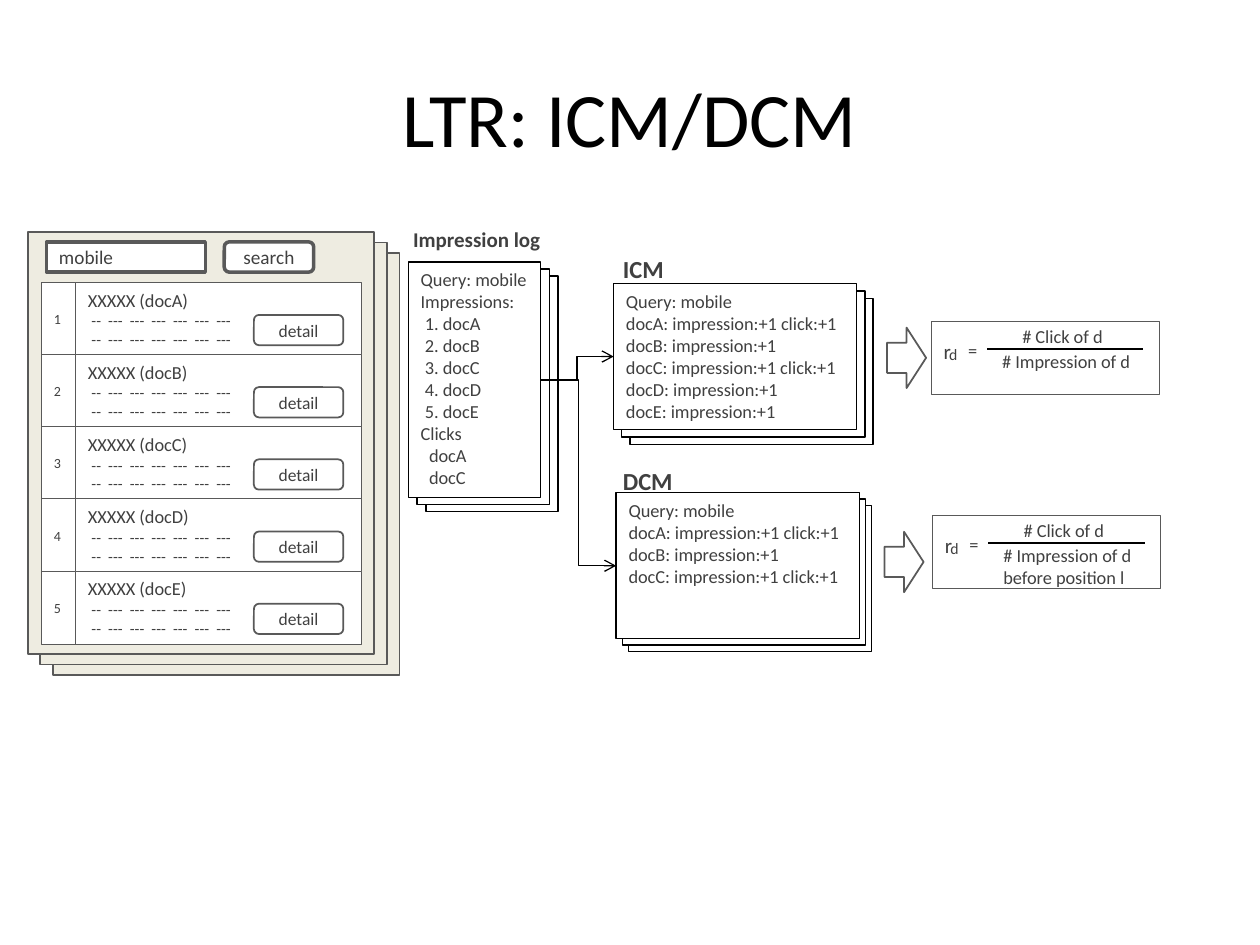
from lxml.etree import SubElement
from pptx import Presentation
from pptx.dml.color import RGBColor
from pptx.enum.shapes import MSO_CONNECTOR, MSO_SHAPE
from pptx.enum.text import MSO_ANCHOR, PP_ALIGN
from pptx.oxml.ns import qn
from pptx.util import Inches, Pt

SLIDE_WIDTH, SLIDE_HEIGHT = Inches(10), Inches(7.5)
COLUMN, ROW = SLIDE_WIDTH / 100, SLIDE_HEIGHT / 75
FONT = "Calibri"
BLACK, GRAY, TEXT, WHITE, BEIGE = "000000", "595959", "404040", "FFFFFF", "EEECE1"
LEFT_SITE, RIGHT_SITE = 1, 3

QUERY = "mobile"
DASHES = "--  ---  ---  ---  ---  ---  ---"
DOCUMENTS = ["docA", "docB", "docC", "docD", "docE"]
CLICKED = ["docA", "docC"]
RESULT_PITCH = 5.73


def color(value):
    """Turn a hex string into a colour."""
    return RGBColor.from_string(value)


def place(left, top, width, height):
    """Convert grid columns and rows to slide lengths."""
    return [round(length) for length in (left * COLUMN, top * ROW, width * COLUMN, height * ROW)]


def write(shape, lines, size, align=PP_ALIGN.LEFT, anchor=MSO_ANCHOR.TOP, bold=False, ink=TEXT):
    """Write lines of text into a shape and format them."""
    frame = shape.text_frame
    frame.word_wrap = True
    frame.vertical_anchor = anchor
    frame.text = "\n".join(lines)
    for paragraph in frame.paragraphs:
        paragraph.alignment = align
        for run in paragraph.runs:
            run.font.name = FONT
            run.font.size = Pt(size)
            run.font.bold = bold
            run.font.color.rgb = color(ink)


def indent(paragraphs, distance):
    """Indent paragraphs by a distance in points."""
    for paragraph in paragraphs:
        paragraph._p.get_or_add_pPr().set("marL", str(Pt(distance)))


def add_box(slide, box, line=GRAY, weight=0.5, fill=WHITE, kind=MSO_SHAPE.RECTANGLE):
    """Add an outlined shape, without fill when fill is None."""
    shape = slide.shapes.add_shape(kind, *place(*box))
    shape.shadow.inherit = False
    if fill:
        shape.fill.solid()
        shape.fill.fore_color.rgb = color(fill)
    else:
        shape.fill.background()
    shape.line.color.rgb = color(line)
    shape.line.width = Pt(weight)
    return shape


def add_label(slide, text, box, size, **style):
    """Add a text box with one line of text."""
    write(slide.shapes.add_textbox(*place(*box)), [text], size, **style)


def add_stack(slide, box, step, **style):
    """Add three overlapping sheets and return the front one."""
    left, top, width, height = box
    for depth in (2, 1, 0):
        sheet = add_box(slide, (left + depth * step[0], top + depth * step[1], width, height), **style)
    return sheet


def add_line(slide, kind, left=0, top=0, right=0, bottom=0):
    """Add a thin black connector without shadow."""
    connector = slide.shapes.add_connector(kind, *place(left, top, right, bottom))
    connector.line.color.rgb = color(BLACK)
    connector.line.width = Pt(0.75)
    SubElement(connector._element.spPr, qn("a:effectLst"))
    return connector


def add_elbow_arrow(slide, source, target):
    """Join the right side of one shape to the left side of another."""
    connector = add_line(slide, MSO_CONNECTOR.ELBOW)
    connector.begin_connect(source, RIGHT_SITE)
    connector.end_connect(target, LEFT_SITE)
    SubElement(connector.line._get_or_add_ln(), qn("a:tailEnd"), type="arrow")


def add_button(slide, text, box, size, weight):
    """Add a rounded button."""
    button = add_box(slide, box, weight=weight, kind=MSO_SHAPE.ROUNDED_RECTANGLE)
    write(button, [text], size, align=PP_ALIGN.CENTER, anchor=MSO_ANCHOR.MIDDLE)


def add_result(slide, rank, document):
    """Add one ranked row of the result page."""
    top = 22.4 + (rank - 1) * RESULT_PITCH
    row = add_box(slide, (6, top, 22.7, 5.8))
    write(row, [f"XXXXX ({document})", DASHES, DASHES], 10.5, anchor=MSO_ANCHOR.MIDDLE)
    dashes = row.text_frame.paragraphs[1:]
    indent(dashes, 2)
    for paragraph in dashes:
        paragraph.runs[0].font.size = Pt(9)
    add_button(slide, "detail", (20.15, top + 2.6, 7.1, 2.4), 10, 1)
    write(add_box(slide, (3.3, top, 2.7, 5.8)), [str(rank)], 8, anchor=MSO_ANCHOR.MIDDLE)


def add_search_page(slide):
    """Add the stacked search pages with their results."""
    add_stack(slide, (2.2, 18.4, 27.5, 33.5), (1, 0.85), fill=BEIGE, weight=1)
    write(add_box(slide, (3.7, 19.2, 12.6, 2.4), weight=2), [QUERY], 11, anchor=MSO_ANCHOR.MIDDLE)
    add_button(slide, "search", (17.8, 19.2, 7.1, 2.4), 11, 2)
    for rank, document in enumerate(DOCUMENTS, 1):
        add_result(slide, rank, document)


def add_log(slide):
    """Add the impression log and return its front sheet."""
    log = add_stack(slide, (32.4, 20.8, 10.5, 18.7), (0.7, 0.55), line=BLACK, weight=0.75)
    ranked = [f"{rank}. {document}" for rank, document in enumerate(DOCUMENTS, 1)]
    write(log, [f"Query: {QUERY}", "Impressions:", *ranked, "Clicks", *CLICKED], 10.5)
    paragraphs = log.text_frame.paragraphs
    indent(paragraphs[2:2 + len(ranked)], 2.4)
    indent(paragraphs[-len(CLICKED):], 4.8)
    add_label(slide, "Impression log", (31.8, 17.5, 14.6, 3), 12, bold=True)
    return log


def add_model(slide, name, documents, left, top, step, label_top):
    """Add the counts of a click model and return the front sheet."""
    sheet = add_stack(slide, (left, top, 19.3, 11.6), step, line=BLACK, weight=0.75)
    counts = [f"{document}: impression:+1" + (" click:+1" if document in CLICKED else "")
              for document in documents]
    write(sheet, [f"Query: {QUERY}", *counts], 10.5)
    add_label(slide, name, (48.45, label_top, 14.6, 3.4), 14, bold=True)
    return sheet


def add_formula(slide, left, top, denominator, height):
    """Add the relevance fraction in its frame."""
    add_box(slide, (left, top, 18.1, 5.8))
    add_label(slide, denominator, (left + 4.65, top + 1.8, 13.5, height), 10.5)
    add_label(slide, "# Click of d", (left + 6.25, top - 0.2, 11.9, 2.8), 10.5)
    add_label(slide, "r", (left, top + 0.85, 2.5, 3), 12)
    add_label(slide, "d", (left + 0.45, top + 1.4, 2.5, 2.5), 9)
    add_label(slide, "=", (left + 1.95, top + 0.95, 3.4, 2.8), 10.5)
    add_line(slide, MSO_CONNECTOR.STRAIGHT, left + 4.45, top + 2.2, left + 16.85, top + 2.2)


def main():
    """Build the slide and save it."""
    presentation = Presentation()
    presentation.slide_width, presentation.slide_height = SLIDE_WIDTH, SLIDE_HEIGHT
    slide = presentation.slides.add_slide(presentation.slide_layouts[6])
    add_label(slide, "LTR: ICM/DCM", (5, 3, 90, 12.5), 44,
              align=PP_ALIGN.CENTER, anchor=MSO_ANCHOR.MIDDLE, ink=BLACK)
    add_search_page(slide)
    log = add_log(slide)
    models = [
        add_model(slide, "ICM", DOCUMENTS, 48.7, 22.5, (0.65, 0.6), 19.7),
        add_model(slide, "DCM", DOCUMENTS[:3], 48.9, 39.1, (0.5, 0.5), 36.5),
    ]
    for model in models:
        add_elbow_arrow(slide, log, model)
    add_formula(slide, 73.9, 25.5, "# Impression of d", 2.8)
    add_formula(slide, 74, 40.9, "# Impression of d before position l", 4.5)
    for left, top in ((70.4, 26), (70.2, 42.2)):
        add_box(slide, (left, top, 3.1, 4.8), weight=1, fill=None, kind=MSO_SHAPE.RIGHT_ARROW)
    presentation.save("out.pptx")


if __name__ == "__main__":
    main()
